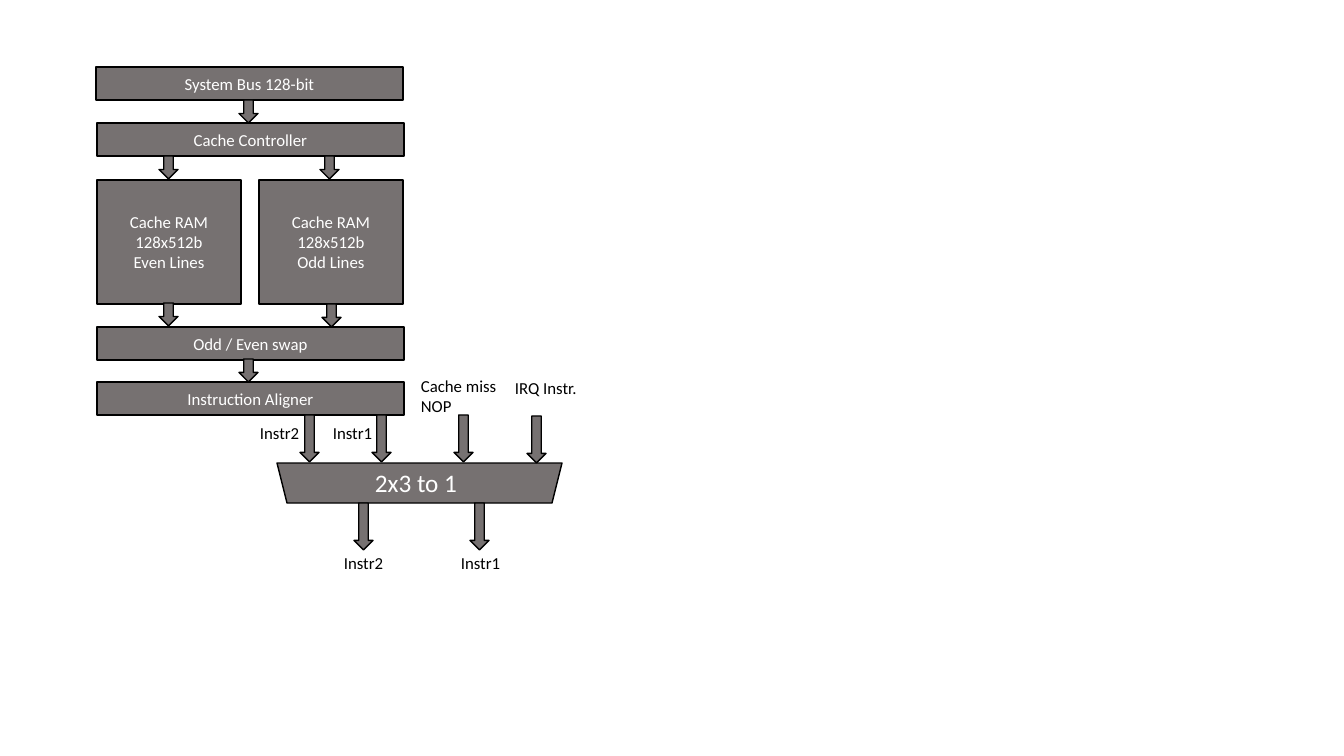
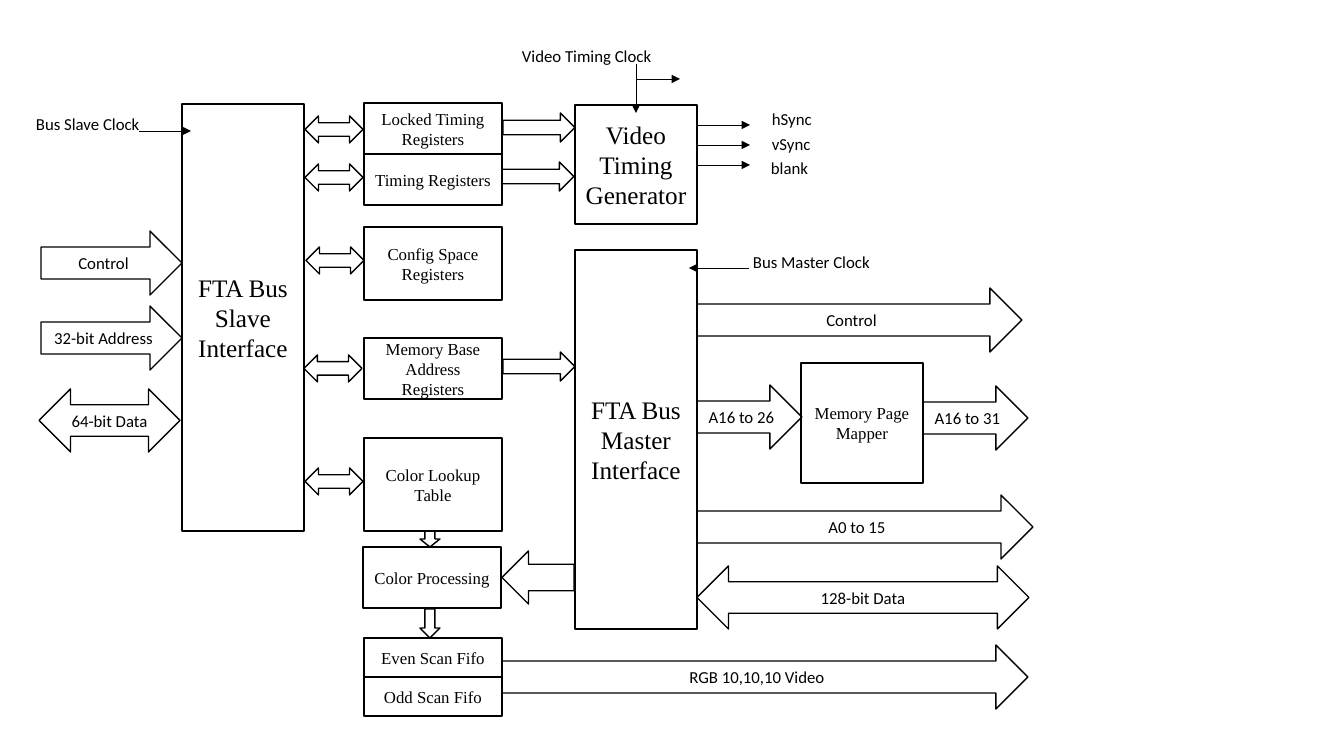
from dataclasses import dataclass

from lxml.etree import SubElement
from pptx import Presentation
from pptx.dml.color import RGBColor
from pptx.enum.shapes import MSO_CONNECTOR, MSO_SHAPE
from pptx.enum.text import MSO_ANCHOR, MSO_AUTO_SIZE, PP_ALIGN
from pptx.oxml.ns import qn
from pptx.util import Emu, Pt


@dataclass(frozen=True)
class Theme:
    black: RGBColor = RGBColor(0x00, 0x00, 0x00)
    white: RGBColor = RGBColor(0xFF, 0xFF, 0xFF)
    gray: RGBColor = RGBColor(0x76, 0x71, 0x71)
    sans: str = "Calibri"
    serif: str = "Times New Roman"
    small: int = 12
    large: int = 18
    outline: float = 1
    signal: float = 0.5


T = Theme()
EMU_PER_PX = 914400 / 100.8

RECT = MSO_SHAPE.RECTANGLE
RIGHT = MSO_SHAPE.RIGHT_ARROW
LEFT = MSO_SHAPE.LEFT_ARROW
DOWN = MSO_SHAPE.DOWN_ARROW
BOTH = MSO_SHAPE.LEFT_RIGHT_ARROW


def px(n):
    return Emu(round(n * EMU_PER_PX))


def write(tf, text, size, font, color, align):
    tf.text = text
    for p in tf.paragraphs:
        p.alignment = align
        p.font.size = Pt(size)
        p.font.name = font
        p.font.color.rgb = color


def block(s, kind, x, y, w, h, text="", fill=None, size=T.small, font=T.sans):
    """Outlined preset shape with centred text; unfilled unless fill is given."""
    sp = s.shapes.add_shape(kind, px(x), px(y), px(w), px(h))
    sp.shadow.inherit = False
    if fill is None:
        sp.fill.background()
    else:
        sp.fill.solid()
        sp.fill.fore_color.rgb = fill
    sp.line.color.rgb = T.black
    sp.line.width = Pt(T.outline)
    if text:
        tf = sp.text_frame
        tf.word_wrap = True
        tf.vertical_anchor = MSO_ANCHOR.MIDDLE
        color = T.black if fill is None else T.white
        write(tf, text, size, font, color, PP_ALIGN.CENTER)
    return sp


def label(s, x, y, w, h, text, wrap=True, size=T.small, color=T.black):
    tf = s.shapes.add_textbox(px(x), px(y), px(w), px(h)).text_frame
    tf.word_wrap = wrap
    tf.auto_size = MSO_AUTO_SIZE.SHAPE_TO_FIT_TEXT
    write(tf, text, size, T.sans, color, PP_ALIGN.LEFT)


def signal(s, x1, y1, x2, y2):
    """Thin line with an arrowhead at its end."""
    cn = s.shapes.add_connector(MSO_CONNECTOR.STRAIGHT, px(x1), px(y1), px(x2), px(y2))
    cn.line.color.rgb = T.black
    cn.line.width = Pt(T.signal)
    SubElement(cn.line._get_or_add_ln(), qn("a:tailEnd"), type="triangle")
    SubElement(cn._element.spPr, qn("a:effectLst"))


def cache_slide(s):
    # Cache pipeline, top to bottom
    for x, y, text in [(96, 67, "System Bus 128-bit"), (97, 123, "Cache Controller"),
                       (97, 327, "Odd / Even swap"), (97, 382, "Instruction Aligner")]:
        block(s, RECT, x, y, 307, 33, text, T.gray)
    for x, lines in [(97, "Even Lines"), (259, "Odd Lines")]:
        block(s, RECT, x, 180, 144, 124, f"Cache RAM 128x512b\n{lines}", T.gray)

    # Multiplexer
    mux = block(s, MSO_SHAPE.TRAPEZOID, 277, 463, 285, 40, fill=T.gray)
    mux.rotation = 180
    label(s, 365, 462, 104, 40, "2x3 to 1", False, T.large, T.white)

    # Short arrows between stages, long ones around the multiplexer
    short = [(239, 100), (159, 156), (320, 156), (159, 303), (322, 304), (239, 359)]
    long = [(300, 415), (372, 415), (454, 415), (527, 416), (354, 503), (470, 503)]
    for h, places in [(23, short), (47, long)]:
        for x, y in places:
            block(s, DOWN, x, y, 19, h, fill=T.gray)

    # Instruction labels
    for x, y, text in [(250, 418, "Instr2"), (323, 418, "Instr1"),
                       (334, 548, "Instr2"), (451, 548, "Instr1")]:
        label(s, x, y, 60, 30, text, False)
    label(s, 411, 371, 97, 50, "Cache miss\nNOP", False)
    label(s, 505, 373, 83, 30, "IRQ Instr.", False)


def video_slide(s):
    # Bus interfaces and timing generator
    for x, y, h, text in [(182, 104, 427, "FTA Bus Slave Interface"),
                          (575, 105, 119, "Video Timing Generator"),
                          (575, 250, 379, "FTA Bus Master Interface")]:
        block(s, RECT, x, y, 122, h, text, size=T.large, font=T.serif)

    # Registers, color path and scan buffers
    for x, y, h, text in [(364, 103, 51, "Locked Timing Registers"),
                          (364, 154, 51, "Timing Registers"),
                          (364, 227, 73, "Config Space Registers"),
                          (364, 338, 61, "Memory Base Address Registers"),
                          (364, 438, 93, "Color Lookup Table"),
                          (363, 547, 61, "Color Processing"),
                          (364, 638, 39, "Even Scan Fifo"),
                          (364, 677, 39, "Odd Scan Fifo")]:
        block(s, RECT, x, y, 138, h, text, font=T.serif)
    block(s, RECT, 801, 363, 122, 120, "Memory Page Mapper", font=T.serif)

    # Named buses
    for kind, x, y, w, h, text in [(RIGHT, 41, 231, 141, 64, "Control"),
                                   (RIGHT, 41, 306, 141, 64, "32-bit Address"),
                                   (BOTH, 39, 389, 141, 63, "64-bit Data"),
                                   (RIGHT, 697, 288, 325, 64, "Control"),
                                   (RIGHT, 697, 385, 105, 64, "A16 to 26"),
                                   (RIGHT, 923, 386, 105, 64, "A16 to 31"),
                                   (RIGHT, 697, 495, 336, 64, "A0 to 15"),
                                   (BOTH, 697, 566, 332, 63, "128-bit Data"),
                                   (RIGHT, 502, 645, 526, 64, "RGB 10,10,10 Video")]:
        block(s, kind, x, y, w, h, text)

    # Internal arrows
    for x, y in [(305, 116), (305, 164), (306, 247), (304, 355), (305, 468)]:
        block(s, BOTH, x, y, 58, 27)
    for x, y in [(503, 113), (502, 162), (503, 352)]:
        block(s, RIGHT, x, y, 72, 29)
    block(s, LEFT, 502, 551, 72, 53)
    for y, h in [(531, 16), (609, 29)]:
        block(s, DOWN, 420, y, 20, h)

    # Sync outputs
    for i, (x, y, text) in enumerate([(762, 104, "hSync"), (762, 129, "vSync"),
                                      (761, 153, "blank")]):
        signal(s, 697, 125 + 20 * i, 750, 125 + 20 * i)
        label(s, x, y, 101, 30, text)

    # Clocks
    for ends in [(139, 131, 191, 131), (636, 64, 636, 113),
                 (636, 79, 680, 79), (749, 268, 689, 268)]:
        signal(s, *ends)
    for x, y, w, text in [(26, 109, 138, "Bus Slave Clock"),
                          (512, 41, 167, "Video Timing Clock"),
                          (743, 247, 138, "Bus Master Clock")]:
        label(s, x, y, w, 30, text)


def main():
    prs = Presentation()
    prs.slide_width, prs.slide_height = px(1344), px(756)
    blank = prs.slide_layouts[6]
    for build in (cache_slide, video_slide):
        build(prs.slides.add_slide(blank))
    prs.save("out.pptx")


main()
